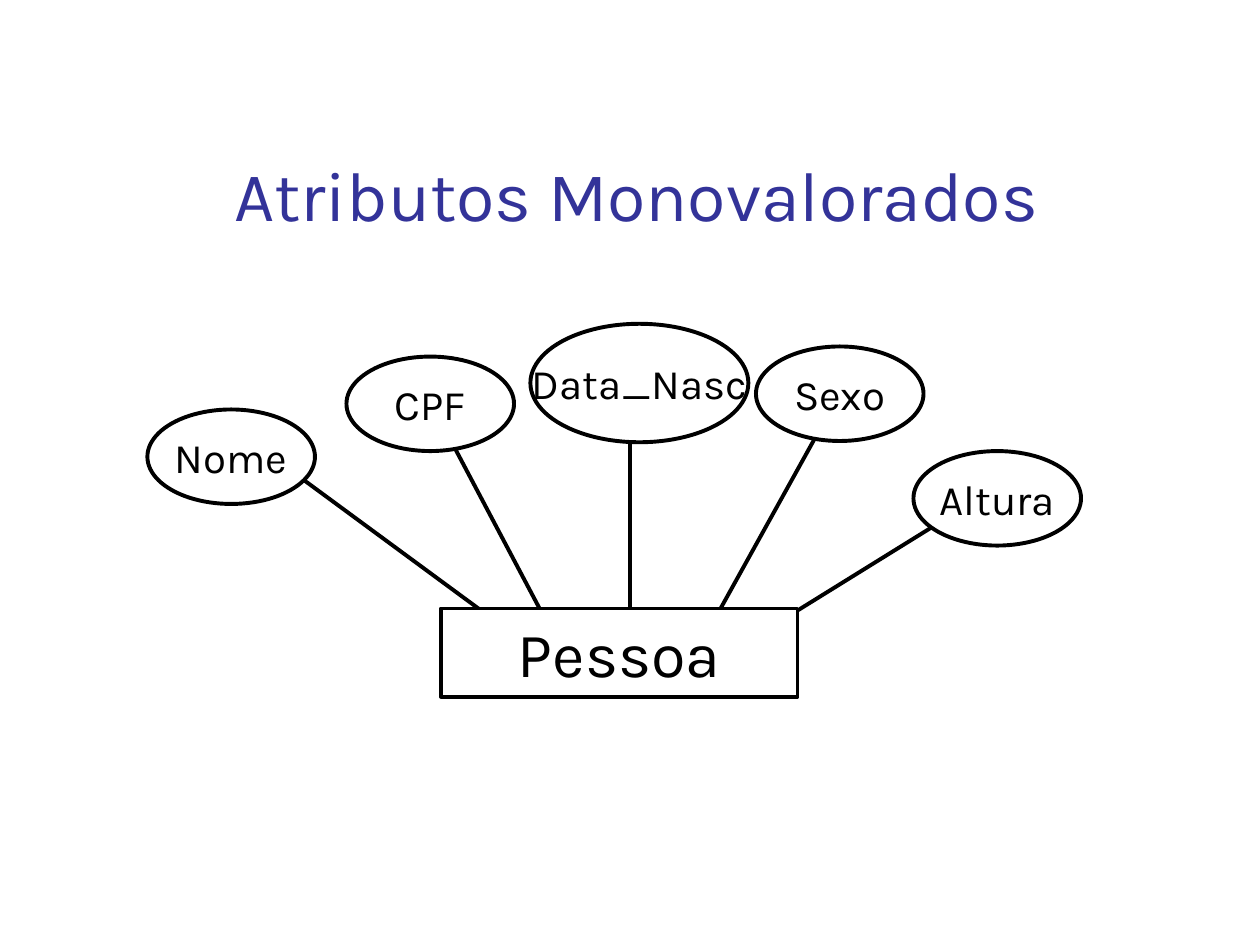
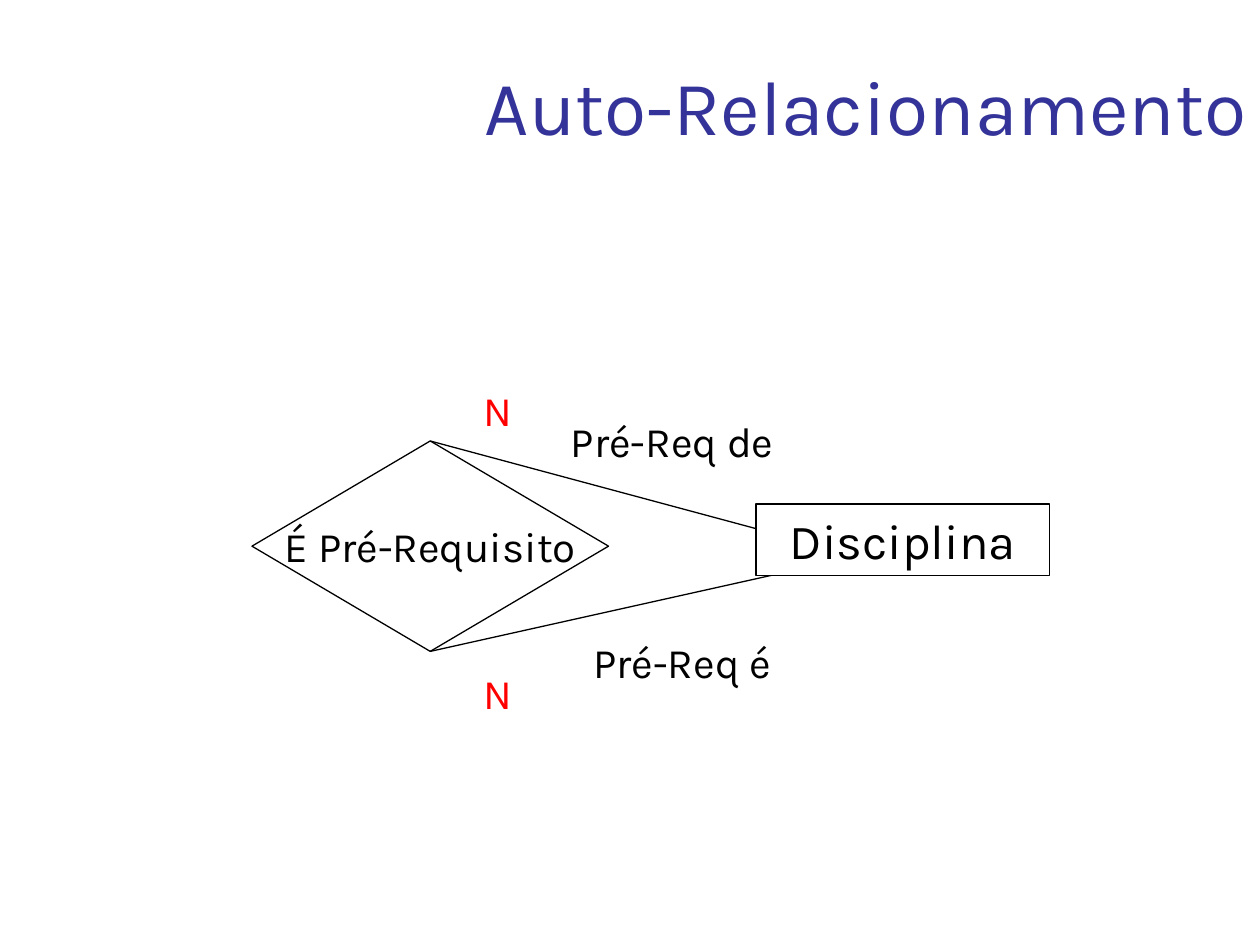
from pptx import Presentation
from pptx.dml.color import RGBColor
from pptx.enum.shapes import MSO_CONNECTOR as Connector, MSO_SHAPE as Preset
from pptx.enum.text import MSO_ANCHOR as Anchor, MSO_AUTO_SIZE as AutoSize, PP_ALIGN as Align
from pptx.oxml.ns import qn
from pptx.util import Inches, Pt
from lxml import etree

COLORS = {"title": "333399", "ink": "000000", "paper": "FFFFFF", "cardinality": "FF0000"}
FONT = "Karla"
ATTRIBUTE_SIZE = (1.33, 0.75)


class Diagram:
    """Holds the presentation, the current slide and the style of its elements."""

    def __init__(self):
        self.presentation = Presentation()
        self.presentation.slide_width = Inches(10)
        self.presentation.slide_height = Inches(7.5)

    def new_slide(self, line_width):
        self.slide = self.presentation.slides.add_slide(self.presentation.slide_layouts[6])
        self.line_width = Pt(line_width)

    def color(self, name):
        return RGBColor.from_string(COLORS[name])

    def set_text(self, shape, text, size, color="ink", align=Align.CENTER, anchor=Anchor.TOP, wrap=False):
        frame = shape.text_frame
        frame.word_wrap = wrap
        frame.auto_size = AutoSize.NONE
        frame.vertical_anchor = anchor
        paragraph = frame.paragraphs[0]
        paragraph.alignment = align
        run = paragraph.add_run()
        run.text = text
        run.font.name = FONT
        run.font.size = Pt(size)
        run.font.color.rgb = self.color(color)

    def text(self, text, box, size=24, **style):
        shape = self.slide.shapes.add_textbox(*map(Inches, box))
        self.set_text(shape, text, size, **style)

    def title(self, text, box, size, align):
        self.text(text, box, size, color="title", align=align, anchor=Anchor.BOTTOM, wrap=True)

    def node(self, preset, text, box, size=24, anchor=Anchor.MIDDLE, wrap=False):
        shape = self.slide.shapes.add_shape(preset, *map(Inches, box))
        shape.shadow.inherit = False
        shape.fill.solid()
        shape.fill.fore_color.rgb = self.color("paper")
        shape.line.color.rgb = self.color("ink")
        shape.line.width = self.line_width
        self.set_text(shape, text, size, anchor=anchor, wrap=wrap)
        return shape

    def entity(self, text, box, size):
        return self.node(Preset.RECTANGLE, text, box, size, anchor=Anchor.TOP, wrap=True)

    def line(self, start, end):
        connector = self.slide.shapes.add_connector(Connector.STRAIGHT, *map(Inches, start + end))
        connector.line.color.rgb = self.color("ink")
        connector.line.width = self.line_width
        etree.SubElement(connector._element.spPr, qn("a:effectLst"))
        return connector


def attributes_slide(diagram):
    diagram.new_slide(2.25)
    diagram.title("Atributos Monovalorados", (1.76, 0.67, 8.74, 1.25), 40, Align.LEFT)
    attributes = [
        ("Nome", (1.17, 3.25), ATTRIBUTE_SIZE, (2.33, 3.75), (3.92, 4.92)),
        ("CPF", (2.75, 2.83), ATTRIBUTE_SIZE, (3.58, 3.5), (4.33, 4.92)),
        ("Data_Nasc", (4.21, 2.57), (1.73, 0.94), (5, 3.33), (5, 5)),
        ("Sexo", (6, 2.75), ATTRIBUTE_SIZE, (6.5, 3.42), (5.58, 5.08)),
        ("Altura", (7.25, 3.58), ATTRIBUTE_SIZE, (7.42, 4.17), (6.08, 5)),
    ]
    for name, position, size, start, end in attributes:
        diagram.line(start, end)
        diagram.node(Preset.OVAL, name, position + size)
    diagram.entity("Pessoa", (3.5, 4.83, 2.83, 0.7), 36)


def relationship_slide(diagram):
    diagram.new_slide(0.75)
    relationship = diagram.node(Preset.DIAMOND, "É Pré-Requisito", (2, 3.5, 2.83, 1.67))
    for site, start, end in [(0, (3.42, 3.5), (6.5, 4.33)), (2, (3.42, 5.17), (6.42, 4.5))]:
        diagram.line(start, end).begin_connect(relationship, site)
    diagram.entity("Disciplina", (6, 4, 2.33, 0.57), 28)
    for top in (3, 5.25):
        diagram.text("N", (3.74, top, 0.45, 0.5), color="cardinality", align=Align.LEFT)
    diagram.title("Auto-Relacionamento", (1.48, 0, 8.52, 1.25), 44, Align.RIGHT)
    diagram.text("Pré-Req de", (4.38, 3.25, 1.91, 0.5))
    diagram.text("Pré-Req é", (4.56, 5, 1.71, 0.5))


def main():
    diagram = Diagram()
    attributes_slide(diagram)
    relationship_slide(diagram)
    diagram.presentation.save("out.pptx")


if __name__ == "__main__":
    main()
